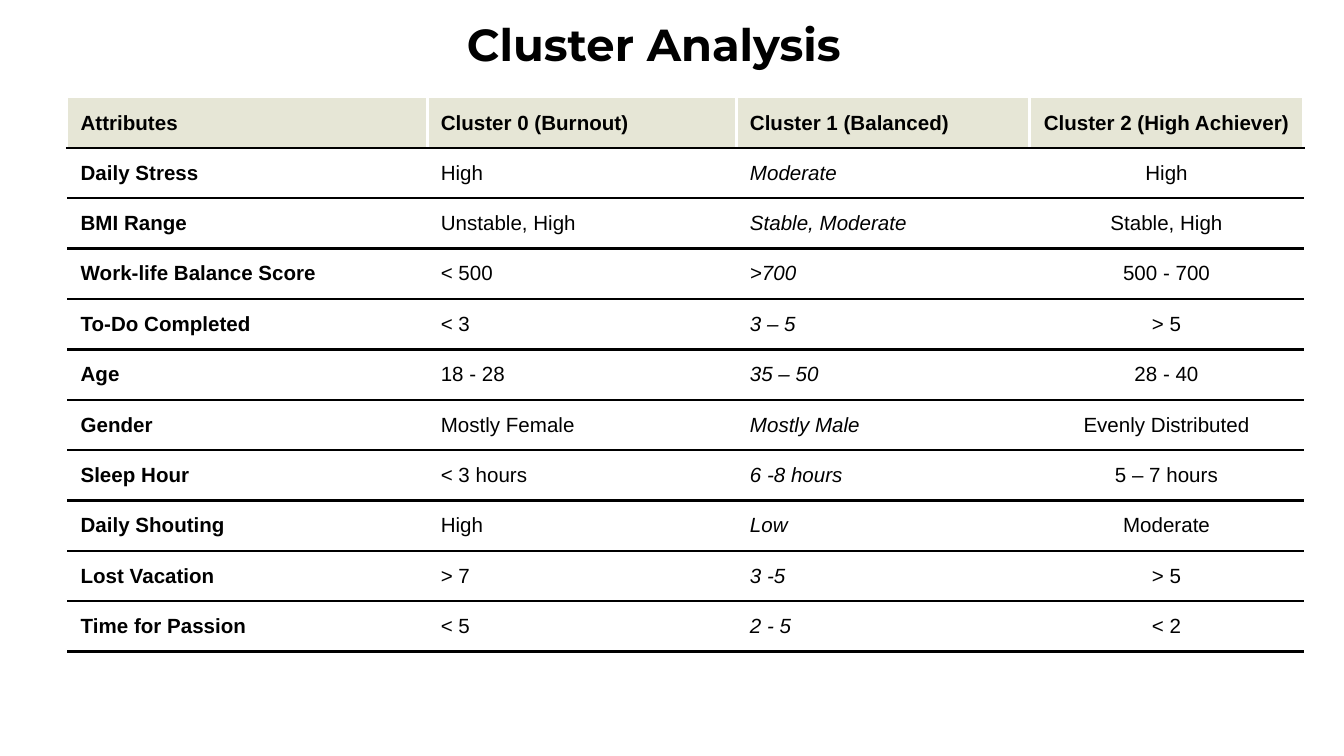
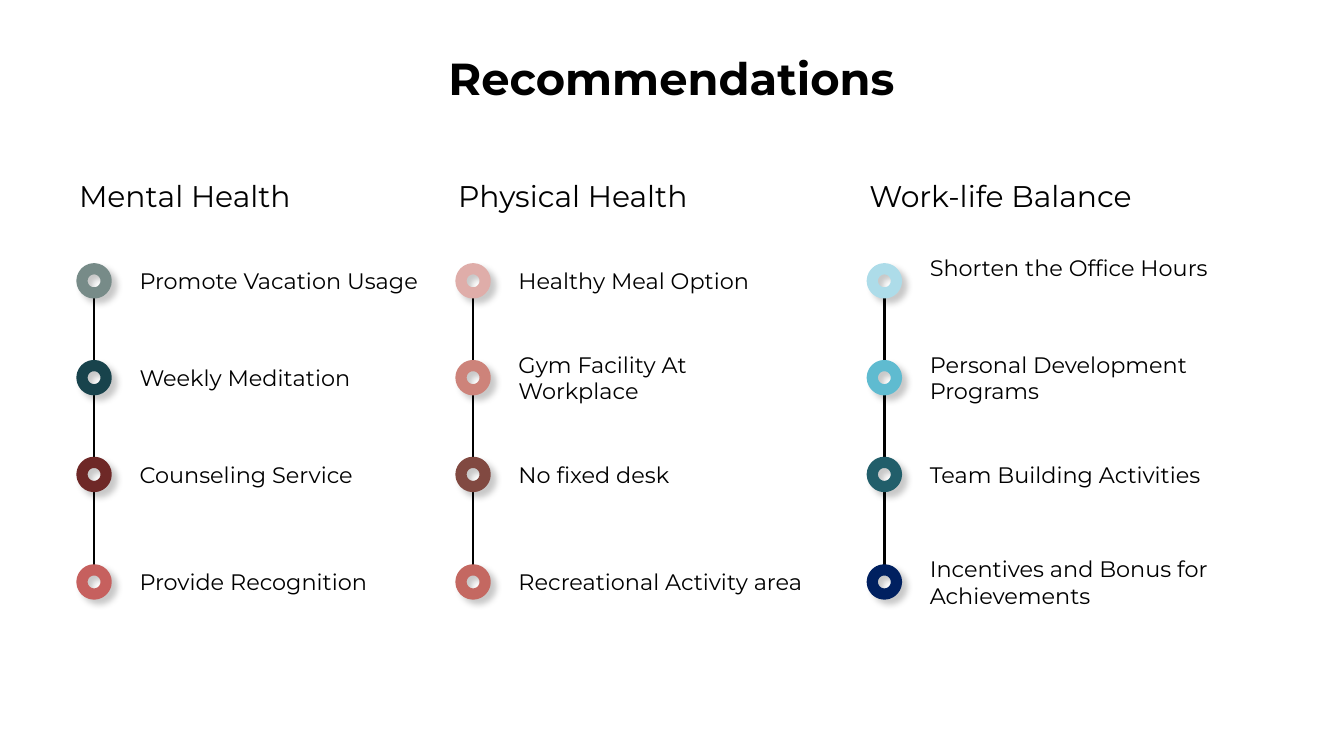
"""Build two slides: a cluster comparison table and three columns of recommendations."""
from dataclasses import dataclass
from itertools import pairwise

from lxml import etree
from pptx import Presentation
from pptx import util as u
from pptx.dml.color import RGBColor
from pptx.enum import shapes, text
from pptx.oxml import ns

ALIGN = text.PP_ALIGN
ANCHOR = text.MSO_ANCHOR


@dataclass(frozen=True)
class Theme:
    """Colours, fonts, sizes and line widths shared by the slides."""
    ink: str = "000000"
    paper: str = "FFFFFF"
    header: str = "E6E6D6"
    display_font: str = "Montserrat"
    table_font: str = "Arial"
    title_size: int = 24
    heading_size: int = 16
    item_size: int = 12
    table_size: int = 11
    rule: float = 1.5
    ring: float = 6


THEME = Theme()
SLIDE_WIDTH = 10
SLIDE_HEIGHT = SLIDE_WIDTH * 9 / 16

CLUSTER_TITLE = ("Cluster Analysis", 0.36, 0.02)
CLUSTER_HEADER = ("Attributes", "Cluster 0 (Burnout)", "Cluster 1 (Balanced)", "Cluster 2 (High Achiever)")
CLUSTER_ROWS = [
    ("Daily Stress", "High", "Moderate", "High"),
    ("BMI Range", "Unstable, High", "Stable, Moderate", "Stable, High"),
    ("Work-life Balance Score", "< 500", ">700", "500 - 700"),
    ("To-Do Completed", "< 3", "3 – 5", "> 5"),
    ("Age", "18 - 28", "35 – 50", "28 - 40"),
    ("Gender", "Mostly Female", "Mostly Male", "Evenly Distributed"),
    ("Sleep Hour", "< 3 hours", "6 -8 hours", "5 – 7 hours"),
    ("Daily Shouting", "High", "Low", "Moderate"),
    ("Lost Vacation", "> 7", "3 -5", "> 5"),
    ("Time for Passion", "< 5", "2 - 5", "< 2"),
]
COLUMN_WIDTHS = (2.68, 2.3, 2.18, 2.04)
HEADER_HEIGHT, ROW_HEIGHT = 0.34, 3 / 8

ADVICE_TITLE = ("Recommendations", 0.49, 0.27)
ADVICE = [
    ("Mental Health", 0.49, [
        ("Promote Vacation Usage", "778B88"),
        ("Weekly Meditation", "18434C"),
        ("Counseling Service", "6E2827"),
        ("Provide Recognition", "C6605E"),
    ]),
    ("Physical Health", 3.31, [
        ("Healthy Meal Option", "DFADA9"),
        ("Gym Facility At Workplace", "CD837A"),
        ("No fixed desk", "814941"),
        ("Recreational Activity area", "C46861"),
    ]),
    ("Work-life Balance", 6.37, [
        ("Shorten the Office Hours", "ADDCE9"),
        ("Personal Development Programs", "5FBBD0"),
        ("Team Building Activities", "215E6A"),
        ("Incentives and Bonus for Achievements", "002060"),
    ]),
]
RAISED_ITEM = "Shorten the Office Hours"
ITEM_TOPS = (1.81, 2.53, 3.25, 4.05)
ITEM_HEIGHT = 0.56
RING_RADIUS = 0.09


def write_text(frame, content, *, size, font=THEME.display_font, bold=False, italic=False, align=ALIGN.LEFT):
    """Put one formatted paragraph in a text frame."""
    frame.text = content
    paragraph = frame.paragraphs[0]
    paragraph.alignment = align
    face = paragraph.runs[0].font
    face.name, face.size, face.bold, face.italic = font, u.Pt(size), bold, italic
    face.color.rgb = RGBColor.from_string(THEME.ink)


def set_margins(target, margin=0.1):
    """Give a frame or cell the same inset on each side."""
    for side in ("left", "right", "top", "bottom"):
        setattr(target, f"margin_{side}", u.Inches(margin))


def add_label(slide, content, box, *, anchor=ANCHOR.MIDDLE, **style):
    """Add a wrapping text box."""
    frame = slide.shapes.add_textbox(*map(u.Inches, box)).text_frame
    frame.word_wrap = True
    frame.vertical_anchor = anchor
    set_margins(frame)
    write_text(frame, content, **style)
    return frame


def add_titled_slide(presentation, content, left, top):
    """Add a title-only slide with its title in place."""
    slide = presentation.slides.add_slide(presentation.slide_layouts[5])
    title = slide.shapes.title
    title.left, title.top, title.width, title.height = map(u.Inches, (left, top, 9.01, 0.61))
    frame = title.text_frame
    frame.auto_size = text.MSO_AUTO_SIZE.NONE
    frame.vertical_anchor = ANCHOR.MIDDLE
    set_margins(frame)
    write_text(frame, content, size=THEME.title_size, bold=True, align=ALIGN.CENTER)
    return slide


def set_borders(cell, **colors):
    """Draw the named cell sides in a colour and hide the others."""
    properties = cell._tc.get_or_add_tcPr()
    for side in "LRTB":
        line = etree.SubElement(properties, ns.qn(f"a:ln{side}"), w=str(u.Pt(THEME.rule)))
        if side in colors:
            fill = etree.SubElement(line, ns.qn("a:solidFill"))
            etree.SubElement(fill, ns.qn("a:srgbClr"), val=colors[side])
        else:
            etree.SubElement(line, ns.qn("a:noFill"))


def add_cluster_table(slide):
    """Add the ruled table of cluster attributes."""
    rows = [CLUSTER_HEADER, *CLUSTER_ROWS]
    heights = [HEADER_HEIGHT] + [ROW_HEIGHT] * len(CLUSTER_ROWS)
    box = map(u.Inches, (0.5, 0.73, sum(COLUMN_WIDTHS), sum(heights)))
    table = slide.shapes.add_table(len(rows), len(COLUMN_WIDTHS), *box).table
    table.first_row = table.horz_banding = False
    for column, width in zip(table.columns, COLUMN_WIDTHS):
        column.width = u.Inches(width)
    for row, height in zip(table.rows, heights):
        row.height = u.Inches(height)
    for row_index, values in enumerate(rows):
        is_header = row_index == 0
        for column_index, value in enumerate(values):
            cell = table.cell(row_index, column_index)
            cell.vertical_anchor = ANCHOR.MIDDLE
            set_margins(cell)
            if is_header:
                set_borders(cell, L=THEME.paper, R=THEME.paper, B=THEME.ink)
                cell.fill.solid()
                cell.fill.fore_color.rgb = RGBColor.from_string(THEME.header)
            else:
                set_borders(cell, T=THEME.ink, B=THEME.ink)
                cell.fill.background()
            write_text(
                cell.text_frame, value, size=THEME.table_size, font=THEME.table_font,
                bold=is_header or column_index == 0,
                italic=not is_header and column_index == 2,
                align=ALIGN.CENTER if column_index == 3 else ALIGN.LEFT,
            )


def add_link(slide, x, top, bottom):
    """Add a vertical line between two rings."""
    link = slide.shapes.add_connector(
        shapes.MSO_CONNECTOR.STRAIGHT, *map(u.Inches, (x, top, x, bottom)))
    link.line.color.rgb = RGBColor.from_string(THEME.ink)
    link.line.width = u.Pt(THEME.rule)
    etree.SubElement(link._element.spPr, ns.qn("a:effectLst"))


def add_ring(slide, x, y, color):
    """Add an open ring with a soft shadow."""
    box = (x - RING_RADIUS, y - RING_RADIUS, 2 * RING_RADIUS, 2 * RING_RADIUS)
    ring = slide.shapes.add_shape(shapes.MSO_SHAPE.OVAL, *map(u.Inches, box))
    ring.fill.background()
    ring.line.color.rgb = RGBColor.from_string(color)
    ring.line.width = u.Pt(THEME.ring)
    ring.shadow.inherit = False
    effects = ring._element.spPr.find(ns.qn("a:effectLst"))
    shadow = etree.SubElement(
        effects, ns.qn("a:outerShdw"), blurRad=str(u.Pt(3.4)), dist=str(u.Pt(3.8)),
        dir=str(45 * 60000), algn="tl", rotWithShape="0")
    tint = etree.SubElement(shadow, ns.qn("a:srgbClr"), val=THEME.ink)
    etree.SubElement(tint, ns.qn("a:alpha"), val="22000")


def add_advice_column(slide, heading, left, items):
    """Add a heading above a chain of rings with their labels."""
    add_label(slide, heading, (left, 1.26, 2.82, 0.43), anchor=ANCHOR.BOTTOM, size=THEME.heading_size)
    ring_x = left + 0.21
    centers = [top + ITEM_HEIGHT / 2 for top in ITEM_TOPS]
    for upper, lower in pairwise(centers):
        add_link(slide, ring_x, upper + RING_RADIUS, lower - RING_RADIUS)
    for (content, color), top, center in zip(items, ITEM_TOPS, centers):
        add_ring(slide, ring_x, center, color)
        raised = content == RAISED_ITEM
        frame = add_label(
            slide, content, (left + 0.45, top, 2.37, ITEM_HEIGHT), size=THEME.item_size,
            anchor=ANCHOR.TOP if raised else ANCHOR.MIDDLE)
        if raised:
            frame.margin_top = u.Inches(0.08)


def main():
    """Build and save the presentation."""
    presentation = Presentation()
    presentation.slide_width, presentation.slide_height = u.Inches(SLIDE_WIDTH), u.Inches(SLIDE_HEIGHT)
    add_cluster_table(add_titled_slide(presentation, *CLUSTER_TITLE))
    advice_slide = add_titled_slide(presentation, *ADVICE_TITLE)
    for heading, left, items in ADVICE:
        add_advice_column(advice_slide, heading, left, items)
    presentation.save("out.pptx")


if __name__ == "__main__":
    main()
